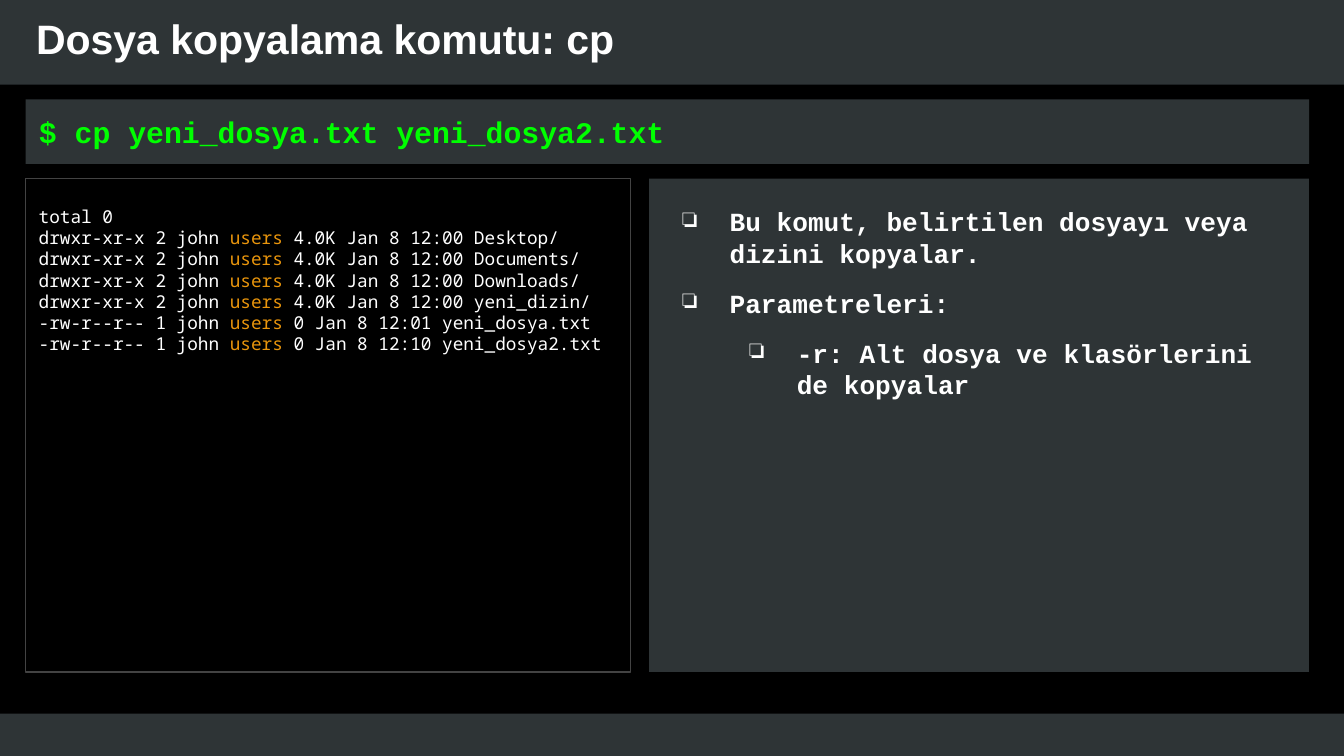
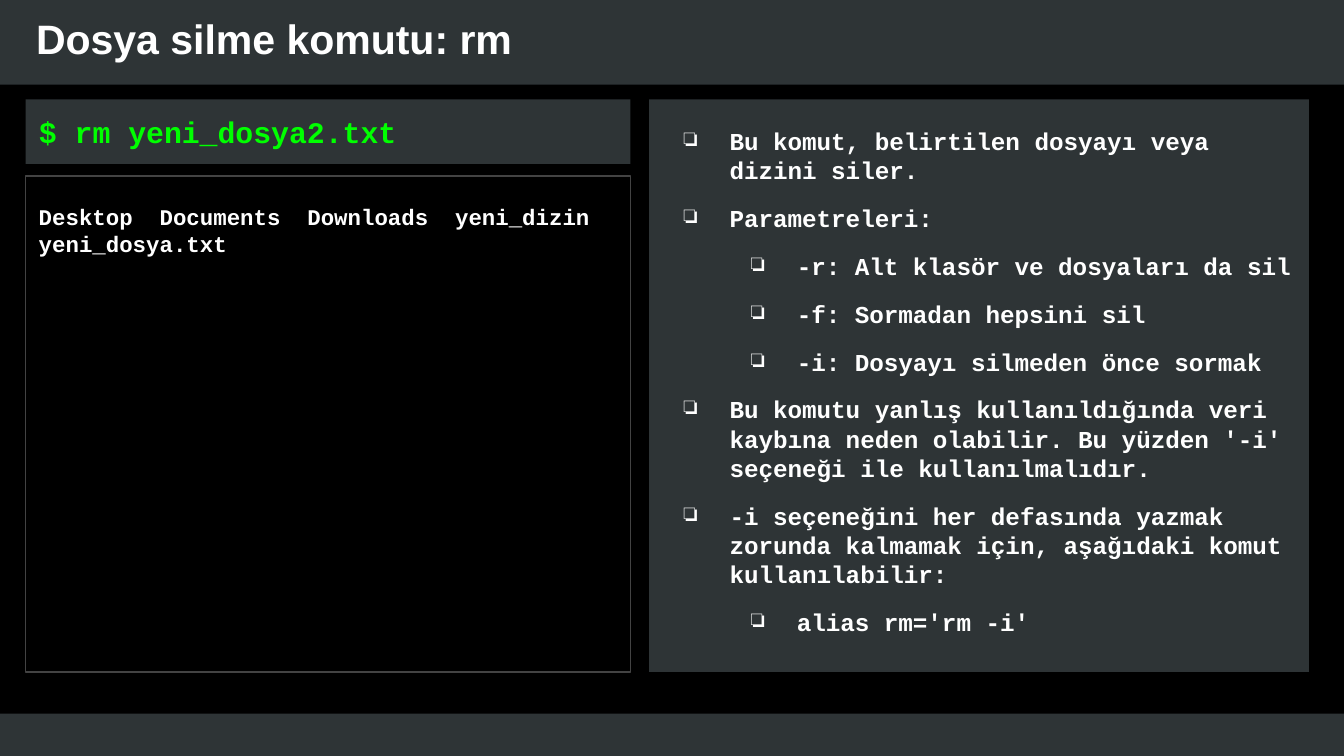
from pptx import Presentation
from pptx.dml.color import RGBColor
from pptx.enum.shapes import MSO_SHAPE
from pptx.enum.text import MSO_ANCHOR, PP_ALIGN
from pptx.oxml import parse_xml
from pptx.oxml.ns import nsdecls
from pptx.util import Pt

PX = 9144
BLACK = RGBColor(0, 0, 0)
SLATE = RGBColor(0x2E, 0x34, 0x36)
EDGE = RGBColor(0x43, 0x43, 0x43)
WHITE = RGBColor(255, 255, 255)
GREEN = RGBColor(0, 255, 0)
AMBER = RGBColor(0xE9, 0x95, 0x0C)

CODE = "Courier New"
MONO = "Noto Sans Mono"

WIDE = 1000
BANDS = [(-3, 531, 1008, 37), (-3, -8, 1006, 71)]
TITLE = (17, 0, 858, 56)
LEFT, RIGHT, TOP, BASE = 19, 483, 74, 500
HALF, SIDE, BAR = 450, 491, 48
FULL = RIGHT + SIDE - LEFT

LISTING = [
    "total 0",
    "drwxr-xr-x 2 john users 4.0K Jan 8 12:00 Desktop/",
    "drwxr-xr-x 2 john users 4.0K Jan 8 12:00 Documents/",
    "drwxr-xr-x 2 john users 4.0K Jan 8 12:00 Downloads/",
    "drwxr-xr-x 2 john users 4.0K Jan 8 12:00 yeni_dizin/",
    "-rw-r--r-- 1 john users 0 Jan 8 12:01 yeni_dosya.txt",
    "-rw-r--r-- 1 john users 0 Jan 8 12:10 yeni_dosya2.txt",
]
FILES = ["Desktop  Documents  Downloads  yeni_dizin  yeni_dosya.txt"]
COPY = [
    (0, "Bu komut, belirtilen dosyayı veya dizini kopyalar."),
    (0, "Parametreleri:"),
    (1, "-r: Alt dosya ve klasörlerini de kopyalar"),
]
ERASE = [
    (0, "Bu komut, belirtilen dosyayı veya dizini siler."),
    (0, "Parametreleri:"),
    (1, "-r: Alt klasör ve dosyaları da sil"),
    (1, "-f: Sormadan hepsini sil"),
    (1, "-i: Dosyayı silmeden önce sormak"),
    (0, "Bu komutu yanlış kullanıldığında veri kaybına neden olabilir. "
        "Bu yüzden '-i' seçeneği ile kullanılmalıdır."),
    (0, "-i seçeneğini her defasında yazmak zorunda kalmamak için, "
        "aşağıdaki komut kullanılabilir:"),
    (1, "alias rm='rm -i'"),
]


def scale(box):
    return [n * PX for n in box]


def panel(slide, box, fill=None, line=None):
    shape = slide.shapes.add_shape(MSO_SHAPE.RECTANGLE, *scale(box))
    shape.shadow.inherit = False
    if fill is None:
        shape.fill.background()
    else:
        shape.fill.solid()
        shape.fill.fore_color.rgb = fill
    if line is None:
        shape.line.fill.background()
    else:
        shape.line.color.rgb = line
        shape.line.width = Pt(0.75)
    return shape


def setup(shape, pads, anchor=MSO_ANCHOR.TOP):
    frame = shape.text_frame
    frame.word_wrap = True
    frame.vertical_anchor = anchor
    (frame.margin_left, frame.margin_top,
     frame.margin_right, frame.margin_bottom) = scale(pads)
    return frame


def style(para, face, size, color=WHITE, bold=True):
    para.alignment = PP_ALIGN.LEFT
    for run in para.runs:
        font = run.font
        font.name, font.size, font.bold = face, Pt(size), bold
        font.color.rgb = color


def indent(para, left, hang):
    props = para._p.get_or_add_pPr()
    props.set("marL", str(left * PX))
    props.set("indent", str(hang * PX))
    return props


def bullet(para, level, hang):
    para.level = level
    props = indent(para, 50 * (level + 1), hang)
    for xml in (
        f'<a:buClr {nsdecls("a")}><a:srgbClr val="{WHITE}"/></a:buClr>',
        f'<a:buChar {nsdecls("a")} char="❏"/>',
    ):
        props.append(parse_xml(xml))


def base(deck, title):
    slide = deck.slides.add_slide(deck.slide_layouts[6])
    for band in BANDS:
        panel(slide, band, SLATE)
    label = slide.shapes.add_textbox(*scale(TITLE))
    frame = setup(label, (10, 10, 10, 10), MSO_ANCHOR.MIDDLE)
    frame.text = title
    style(frame.paragraphs[0], "Arial", 22)
    return slide


def prompt(slide, box, text):
    frame = setup(panel(slide, box, SLATE), (0, 0, 0, 0), MSO_ANCHOR.MIDDLE)
    frame.text = text
    para = frame.paragraphs[0]
    indent(para, 10, 0)
    style(para, CODE, 16, GREEN)


def output(slide, box, lines, face, size, bold):
    frame = setup(panel(slide, box, line=EDGE), (10, 20, 10, 10))
    for i, line in enumerate(lines):
        para = frame.paragraphs[0] if i == 0 else frame.add_paragraph()
        for part in line.partition("users"):
            if part:
                para.add_run().text = part
        style(para, face, size, bold=bold)
        for run in para.runs:
            if run.text == "users":
                run.font.color.rgb = AMBER


def notes(slide, box, items, size, hang):
    frame = setup(panel(slide, box, SLATE), (10, 20, 10, 10))
    frame.text = "\n".join(text for _, text in items)
    paras = frame.paragraphs
    for i, (para, (level, _)) in enumerate(zip(paras, items)):
        bullet(para, level, hang)
        style(para, CODE, size)
        if i:
            para.space_before = Pt(10)
    paras[-1].space_after = Pt(10)


def main():
    deck = Presentation()
    deck.slide_width = WIDE * PX
    deck.slide_height = WIDE * PX * 9 // 16
    back = deck.slide_master.background.fill
    back.solid()
    back.fore_color.rgb = BLACK

    slide = base(deck, "Dosya kopyalama komutu: cp")
    top = 133
    output(slide, (LEFT, top, HALF, BASE - top), LISTING, MONO, 9.5, False)
    prompt(slide, (LEFT, TOP, FULL, BAR), "$ cp yeni_dosya.txt yeni_dosya2.txt")
    notes(slide, (RIGHT, top, SIDE, BASE - top), COPY, 14, -35)

    slide = base(deck, "Dosya silme komutu: rm")
    top = 131
    output(slide, (LEFT, top, HALF, BASE - top), FILES, CODE, 12, True)
    prompt(slide, (LEFT, TOP, HALF, BAR), "$ rm yeni_dosya2.txt")
    notes(slide, (RIGHT, TOP, SIDE, BASE - TOP), ERASE, 13, -34)

    deck.save("out.pptx")


if __name__ == "__main__":
    main()
